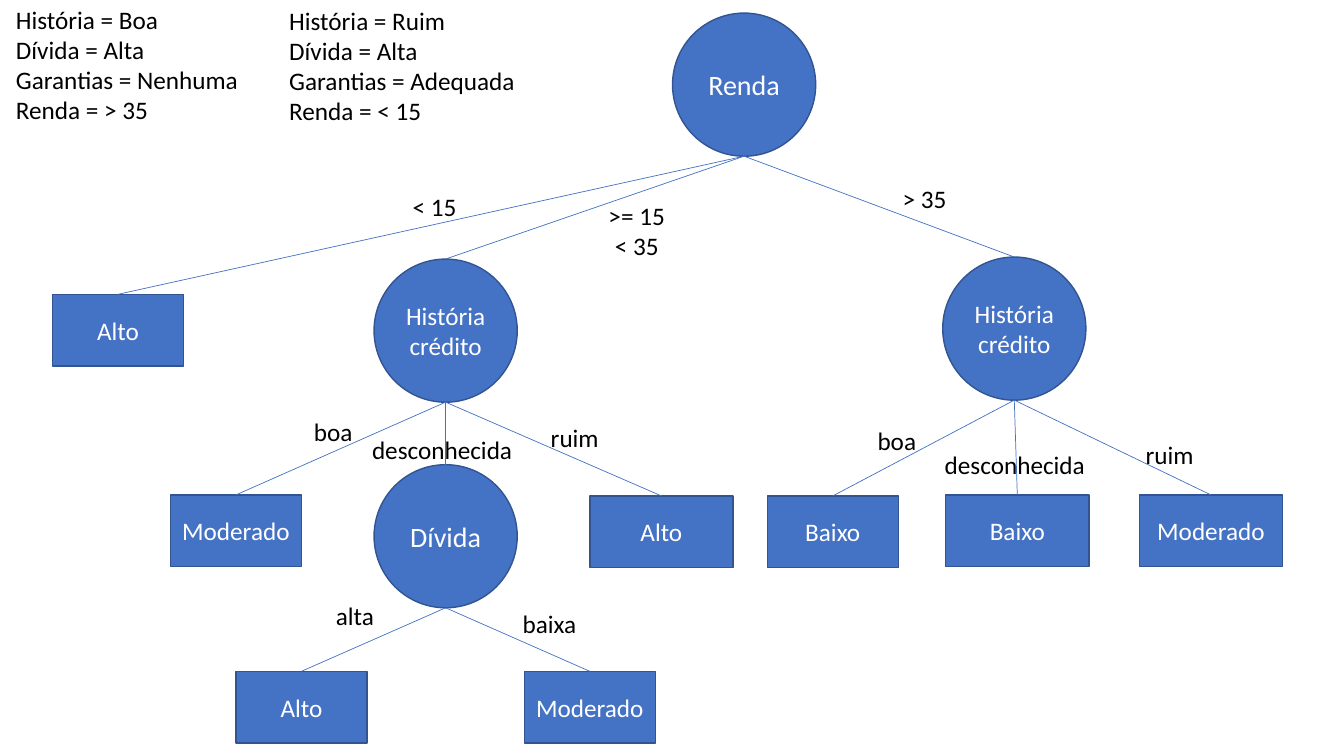
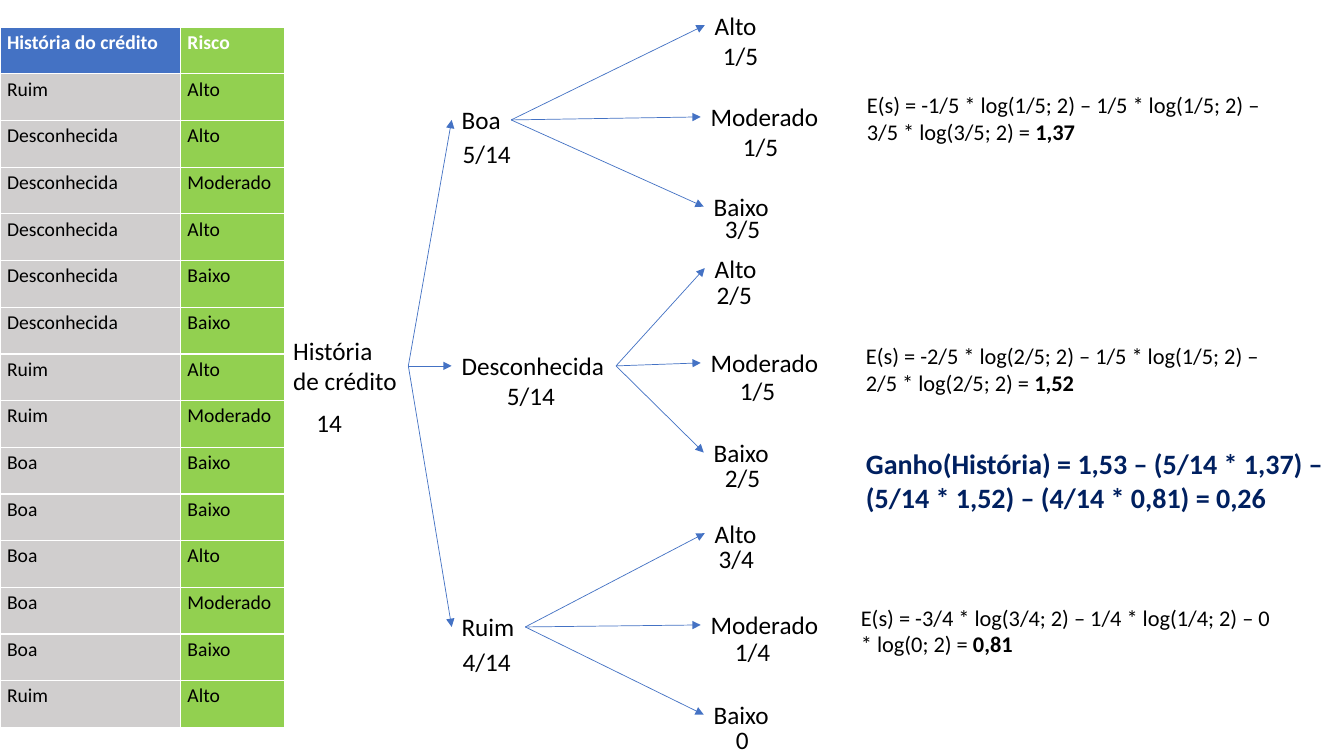
from lxml.etree import SubElement
from pptx import Presentation
from pptx.dml.color import RGBColor
from pptx.enum.shapes import MSO_CONNECTOR, MSO_SHAPE
from pptx.enum.text import MSO_ANCHOR, PP_ALIGN
from pptx.oxml.ns import qn
from pptx.util import Inches, Pt

color = RGBColor.from_string
BLUE, EDGE, NAVY = "4472C4", "325491", "002060"
GREEN, GREY, BLACK, WHITE = "92D050", "D0CECE", "000000", "FFFFFF"


def write(holder, text, size=18, ink=BLACK, bold=False, align=PP_ALIGN.LEFT,
          wrap=True, spacing=None, result=""):
    frame = holder.text_frame
    frame.word_wrap = wrap
    for index, line in enumerate(text.split("\n")):
        para = frame.add_paragraph() if index else frame.paragraphs[0]
        para.alignment = align
        para.line_spacing = spacing
        for part, strong in ((line, bold), (result, True)):
            if part:
                span = para.add_run()
                span.text = part
                span.font.name = "Calibri"
                span.font.size = Pt(size)
                span.font.bold = strong
                span.font.color.rgb = color(ink)


def connect(page, start, end, arrow=False):
    x1, y1, x2, y2 = [Inches(value) for value in (*start, *end)]
    line = page.shapes.add_connector(MSO_CONNECTOR.STRAIGHT, x1, y1, x2, y2)
    line.line.color.rgb = color(BLUE)
    line.line.width = Pt(0.5)
    if arrow:
        SubElement(line.get_or_add_ln(), qn("a:tailEnd"), type="triangle")
    SubElement(line.element.spPr, qn("a:effectLst"))


deck = Presentation()
deck.slide_width, deck.slide_height = Inches(13.33), Inches(7.5)
blank = deck.slide_layouts[6]

page = deck.slides.add_slide(blank)
DIAMETER, LEAF_HEIGHT = 1.42, 0.71
decisions = {
    "income": ("Renda", 20, 6.67, 0.13),
    "middle": ("História crédito", 18, 3.71, 2.57),
    "debt": ("Dívida", 20, 3.71, 4.61),
    "high": ("História crédito", 18, 9.35, 2.55),
}
leaves = [
    ("income", "Alto", 0.52, 2.92, 1.3),
    ("middle", "Moderado", 1.69, 4.91, 1.3),
    ("middle", "Alto", 5.85, 4.92, 1.42),
    ("debt", "Alto", 2.34, 6.66, 1.3),
    ("debt", "Moderado", 5.2, 6.66, 1.3),
    ("high", "Baixo", 7.61, 4.92, 1.3),
    ("high", "Baixo", 9.38, 4.91, 1.42),
    ("high", "Moderado", 11.3, 4.91, 1.42),
]
nodes = [(MSO_SHAPE.OVAL, text, size, left, top, DIAMETER, DIAMETER)
         for text, size, left, top in decisions.values()]
nodes += [(MSO_SHAPE.RECTANGLE, text, 18, left, top, width, LEAF_HEIGHT)
          for _, text, left, top, width in leaves]
for kind, text, size, left, top, width, height in nodes:
    node = page.shapes.add_shape(kind, Inches(left), Inches(top), Inches(width), Inches(height))
    node.shadow.inherit = False
    node.fill.solid()
    node.fill.fore_color.rgb = color(BLUE)
    node.line.color.rgb = color(EDGE)
    node.line.width = Pt(1)
    node.text_frame.vertical_anchor = MSO_ANCHOR.MIDDLE
    write(node, text, size, WHITE, align=PP_ALIGN.CENTER)

edges = [(parent, left + width / 2, top) for parent, _, left, top, width in leaves]
for parent, child in (("income", "middle"), ("income", "high"), ("middle", "debt")):
    _, _, left, top = decisions[child]
    edges.append((parent, left + DIAMETER / 2, top))
for parent, x, y in edges:
    _, _, left, top = decisions[parent]
    connect(page, (left + DIAMETER / 2, top + DIAMETER), (x, y))

conditions = [
    ("< 15", 3.99, 1.85, 0.64),
    (">= 15\n< 35", 5.93, 1.94, 0.77),
    ("> 35", 8.85, 1.77, 0.64),
    ("boa", 3.01, 4.08, 0.59),
    ("desconhecida", 3.58, 4.26, 1.61),
    ("ruim", 5.36, 4.14, 0.68),
    ("alta", 3.23, 5.91, 0.58),
    ("baixa", 5.08, 5.99, 0.74),
    ("boa", 8.6, 4.17, 0.59),
    ("desconhecida", 9.26, 4.41, 1.61),
    ("ruim", 11.26, 4.31, 0.68),
]
cases = [
    ("História = Boa\nDívida = Alta\nGarantias = Nenhuma\nRenda = > 35", 0.06, -0.01, 2.43),
    ("História = Ruim\nDívida = Alta\nGarantias = Adequada\nRenda = < 15", 2.77, 0, 2.47),
]
for labels, align in ((conditions, PP_ALIGN.CENTER), (cases, PP_ALIGN.LEFT)):
    for text, left, top, width in labels:
        height = 0.1 + 0.3 * len(text.split("\n"))
        box = page.shapes.add_textbox(Inches(left), Inches(top), Inches(width), Inches(height))
        write(box, text, align=align, wrap=False)

page = deck.slides.add_slide(blank)
records = [
    ("História do crédito", "Risco"),
    ("Ruim", "Alto"),
    ("Desconhecida", "Alto"),
    ("Desconhecida", "Moderado"),
    ("Desconhecida", "Alto"),
    ("Desconhecida", "Baixo"),
    ("Desconhecida", "Baixo"),
    ("Ruim", "Alto"),
    ("Ruim", "Moderado"),
    ("Boa", "Baixo"),
    ("Boa", "Baixo"),
    ("Boa", "Alto"),
    ("Boa", "Moderado"),
    ("Boa", "Baixo"),
    ("Ruim", "Alto"),
]
table = page.shapes.add_table(len(records), 2, Inches(0), Inches(0.27),
                              Inches(2.82), Inches(6.95)).table
table.columns[0].width, table.columns[1].width = Inches(1.79), Inches(1.03)
for row, record in enumerate(records):
    header = row == 0
    for column, text in enumerate(record):
        cell = table.cell(row, column)
        cell.margin_left = cell.margin_right = Inches(0.07)
        cell.margin_top = cell.margin_bottom = 0
        cell.fill.solid()
        cell.fill.fore_color.rgb = color(GREEN if column else BLUE if header else GREY)
        write(cell, text, 14, WHITE if header else BLACK, bold=header, spacing=1.15)

ROOT, BRANCH_LEFT, HALF_LINE = (4.05, 3.63), 4.48, 0.2
outcomes = [("Alto", 6.99, 0.62), ("Moderado", 6.95, 1.28), ("Baixo", 6.98, 0.75)]
branches = [
    ("Boa", 0.99, 0.59, ("5/14", 4.49, 1.32),
     [(0.05, "1/5", 7.07, 0.35), (0.96, "1/5", 7.27, 1.25), (1.85, "3/5", 7.09, 2.07)]),
    ("Desconhecida", 3.43, 1.63, ("5/14", 4.93, 3.72),
     [(2.46, "2/5", 7.01, 2.72), (3.4, "1/5", 7.24, 3.67), (4.29, "2/5", 7.09, 4.54)]),
    ("Ruim", 6.02, 0.73, ("4/14", 4.49, 6.36),
     [(5.09, "3/4", 7.03, 5.34), (6, "1/4", 7.19, 6.26), (6.89, "0", 7.2, 7.14)]),
]
labels = [
    ("História\nde crédito", 2.81, 3.28, 1.24, {"wrap": False}),
    ("14", 3.04, 3.99, 0.46, {"wrap": False}),
]
for name, top, width, (share, share_left, share_top), results in branches:
    middle = top + HALF_LINE
    connect(page, ROOT, (BRANCH_LEFT, middle), arrow=True)
    labels.append((name, BRANCH_LEFT, top, width, {"wrap": False}))
    labels.append((share, share_left, share_top, 0.68, {"wrap": False}))
    for (risk, left, risk_width), (risk_top, odds, odds_left, odds_top) in zip(outcomes, results):
        connect(page, (BRANCH_LEFT + width, middle), (left, risk_top + HALF_LINE), arrow=True)
        labels.append((risk, left, risk_top, risk_width, {"wrap": False}))
        labels.append((odds, odds_left, odds_top, 0.62, {}))

entropies = [
    ("-1/5 * log(1/5; 2) – 1/5 * log(1/5; 2) – 3/5 * log(3/5; 2)", "1,37", 8.5, 0.86),
    ("-2/5 * log(2/5; 2) – 1/5 * log(1/5; 2) – 2/5 * log(2/5; 2)", "1,52", 8.49, 3.35),
    ("-3/4 * log(3/4; 2) – 1/4 * log(1/4; 2) – 0 * log(0; 2)", "0,81", 8.44, 5.94),
]
for terms, result, left, top in entropies:
    labels.append((f"E(s) = {terms} = ", left, top, 4.27, {"size": 16, "result": result}))
labels.append(("Ganho(História) = 1,53 – (5/14 * 1,37) – (5/14 * 1,52) – (4/14 * 0,81) = 0,26",
               8.49, 4.38, 4.84, {"size": 20, "ink": NAVY, "bold": True}))
for text, left, top, width, style in labels:
    box = page.shapes.add_textbox(Inches(left), Inches(top), Inches(width), Inches(0.4))
    write(box, text, **style)

deck.save("out.pptx")
